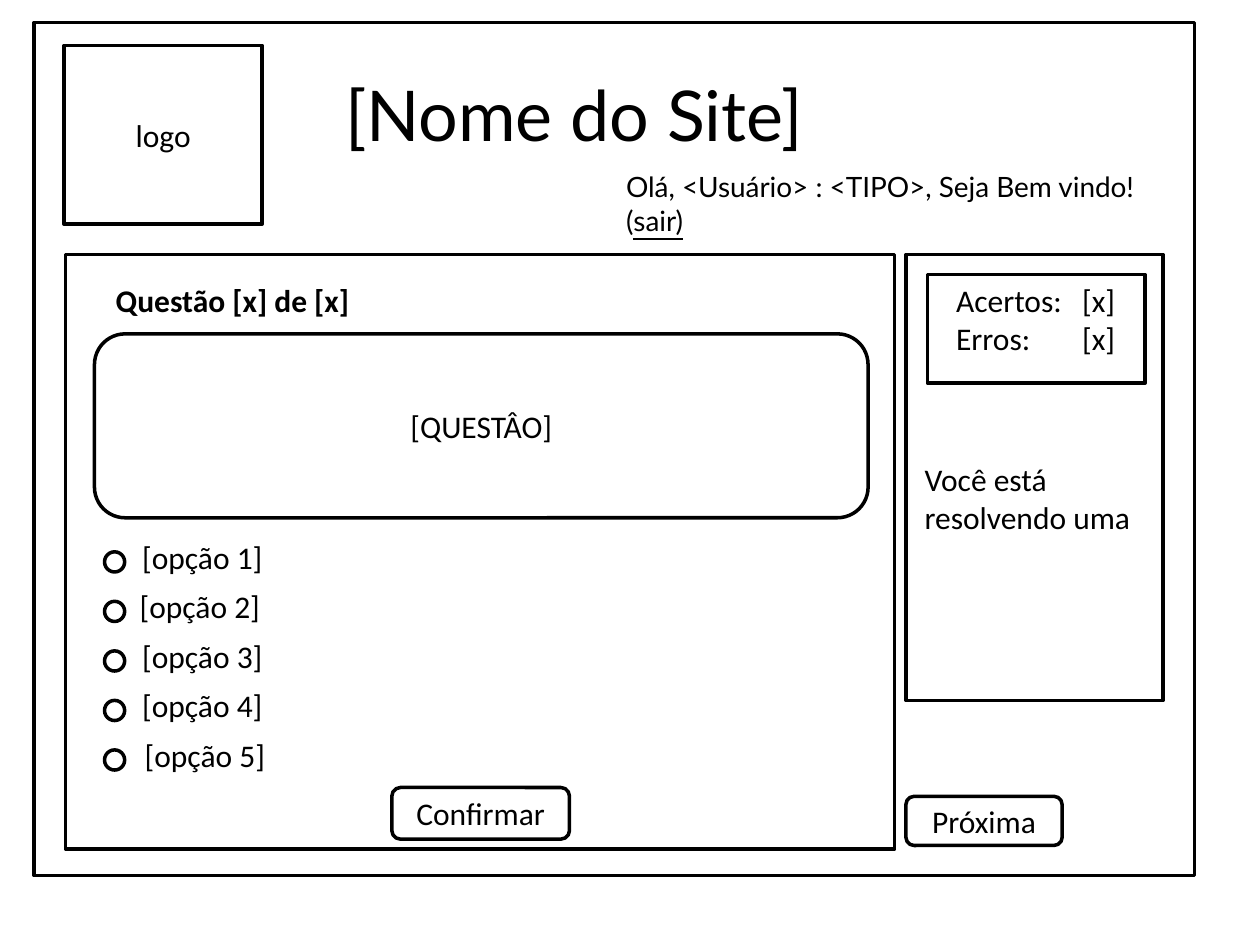
from pptx import Presentation
from pptx.dml.color import RGBColor
from pptx.enum.shapes import MSO_SHAPE
from pptx.enum.text import MSO_ANCHOR, PP_ALIGN
from pptx.util import Inches, Pt

COLORS = {"ink": "000000", "paper": "FFFFFF"}
WIDE, HIGH = Inches(10), Inches(7.5)
COL, ROW = WIDE / 100, HIGH / 75  # grid of 100 columns by 75 rows


def hue(name):
    return RGBColor.from_string(COLORS[name])


def inner(box, x, y, w, h):
    """Box of w by h cells, x columns and y rows into the given box."""
    return box[0] + x, box[1] + y, w, h


def place(box):
    x, y, w, h = box
    return round(x * COL), round(y * ROW), round(w * COL), round(h * ROW)


def style(frame, size, face, bold=None, align=None):
    for para in frame.paragraphs:
        para.alignment = align
        font = para.font
        font.size, font.name, font.bold = Pt(size), face, bold
        font.color.rgb = hue("ink")


def panel(slide, box, text="", kind=MSO_SHAPE.RECTANGLE):
    shape = slide.shapes.add_shape(kind, *place(box))
    shape.shadow.inherit = False
    shape.fill.solid()
    shape.fill.fore_color.rgb = hue("paper")
    shape.line.color.rgb = hue("ink")
    shape.line.width = Pt(2)
    if text:
        frame = shape.text_frame
        frame.text = text
        frame.vertical_anchor = MSO_ANCHOR.MIDDLE
        style(frame, 18, "Calibri", align=PP_ALIGN.CENTER)


def label(slide, box, text, size=18, face="Calibri", bold=None, wrap=True):
    frame = slide.shapes.add_textbox(*place(box)).text_frame
    frame.word_wrap = wrap
    frame.text = text
    style(frame, size, face, bold)
    return frame


def header(slide, box):
    panel(slide, inner(box, 0, 0, 15.7, 14.2), "logo")
    label(slide, inner(box, 21.3, 1.6, 55.9, 7.7), "[Nome do Site]", 40, "Lato")
    # Greeting with its underlined exit link
    hello = label(slide, inner(box, 43.6, 9.4, 46.1, 3.7),
                  "Olá, <Usuário> : <TIPO>, Seja Bem vindo! (", 16, "Lato")
    link = hello.paragraphs[0].add_run()
    link.text = "sair)"
    link.font.underline = True


def choices(slide, box, count, step):
    shifts = {2: -0.2, 5: 0.2}  # labels set slightly off the column
    for num in range(1, count + 1):
        top = (num - 1) * step
        panel(slide, inner(box, 0, top + 1.6, 1.6, 1.6), kind=MSO_SHAPE.OVAL)
        label(slide, inner(box, 2 + shifts.get(num, 0), top, 12.9, 4),
              f"[opção {num}]")


def quiz(slide, box):
    panel(slide, box)
    label(slide, inner(box, 3, 1.6, 29.9, 4), "Questão [x] de [x]", bold=True)
    panel(slide, inner(box, 2.3, 6.3, 61.4, 14.6), "[QUESTÂO]",
          MSO_SHAPE.ROUNDED_RECTANGLE)
    choices(slide, inner(box, 3.1, 22, 15, 20), count=5, step=3.93)
    panel(slide, inner(box, 25.9, 42.3, 14.1, 4.1), "Confirmar",
          MSO_SHAPE.ROUNDED_RECTANGLE)


def status(slide, box):
    panel(slide, box)
    # Score
    panel(slide, inner(box, 1.7, 1.6, 17.3, 8.6))
    label(slide, inner(box, 3, 1.6, 14.7, 7.1),
          "Acertos: \t[x]\nErros:\t[x]", wrap=False)
    # Progress note
    label(slide, inner(box, 0.5, 15.8, 19, 7.1), "Você está resolvendo uma")


def main():
    deck = Presentation()
    deck.slide_width, deck.slide_height = WIDE, HIGH
    slide = deck.slides.add_slide(deck.slide_layouts[6])
    page = (2.7, 1.8, 92.1, 67.7)
    panel(slide, page)
    header(slide, inner(page, 2.4, 1.8, 89.7, 14.2))
    quiz(slide, inner(page, 2.5, 18.4, 65.8, 47.2))
    status(slide, inner(page, 69.2, 18.4, 20.4, 35.4))
    # Next button
    panel(slide, inner(page, 69.2, 61.4, 12.4, 3.9), "Próxima",
          MSO_SHAPE.ROUNDED_RECTANGLE)
    deck.save("out.pptx")


if __name__ == "__main__":
    main()
